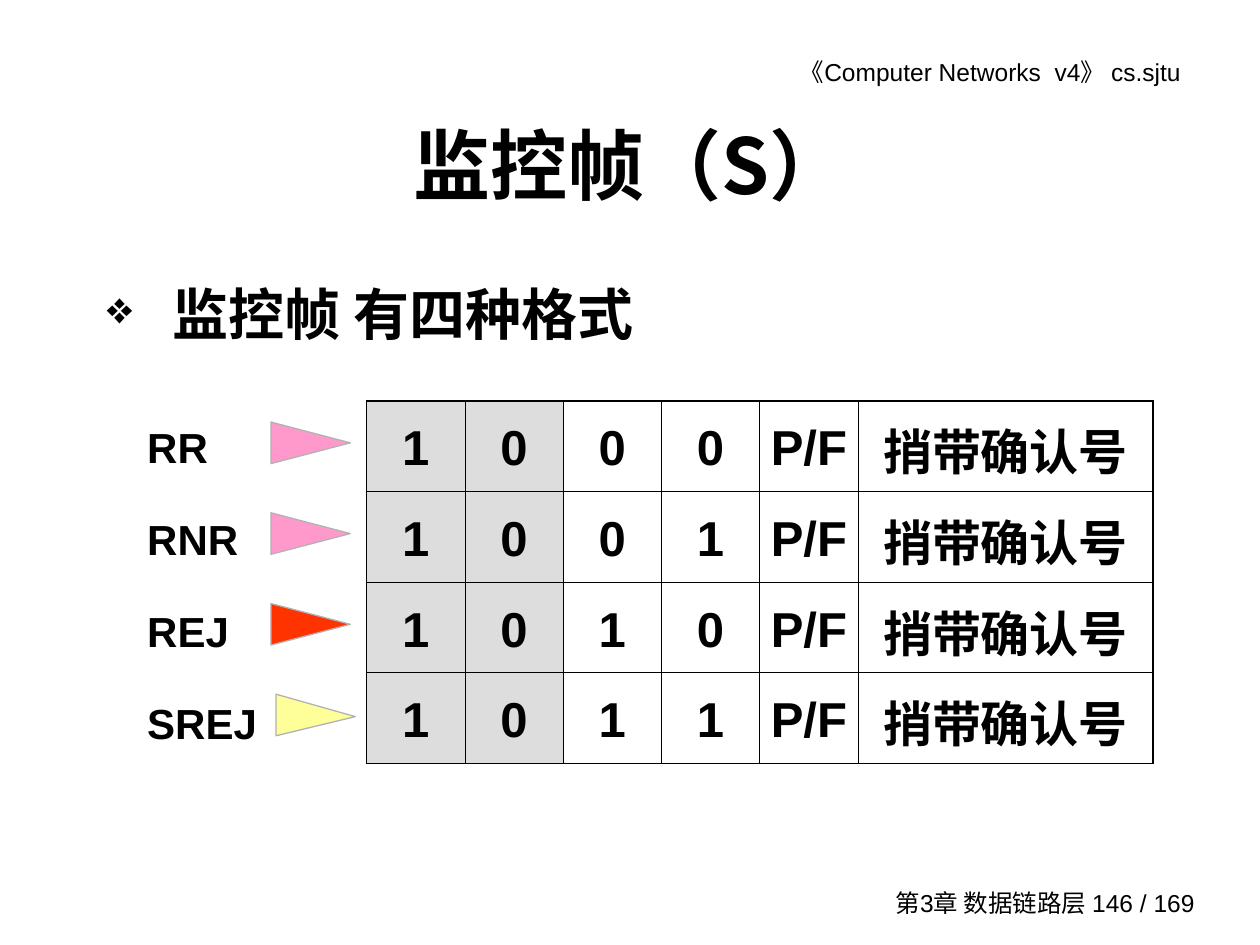
from lxml import etree
from pptx import Presentation
from pptx.dml.color import RGBColor
from pptx.enum.shapes import MSO_SHAPE as Shape
from pptx.enum.text import MSO_ANCHOR as Anchor, PP_ALIGN as Align
from pptx.oxml.ns import qn
from pptx.util import Inches, Pt

BLACK = RGBColor(0x00, 0x00, 0x00)
WHITE = RGBColor(0xFF, 0xFF, 0xFF)
CODE_GREY = RGBColor(0xDD, 0xDD, 0xDD)
EDGE_GREY = RGBColor(0xB2, 0xB2, 0xB2)
PINK = RGBColor(0xFF, 0x99, 0xCC)
RED = RGBColor(0xFF, 0x33, 0x00)
YELLOW = RGBColor(0xFF, 0xFF, 0x99)
CJK_FONT = "Noto Sans CJK SC"


def style(paragraph, size, bold=True, align=Align.LEFT, latin="Arial"):
    paragraph.alignment = align
    font = paragraph.font
    font.size, font.bold, font.name = Pt(size), bold, latin
    font.color.rgb = BLACK
    defaults = paragraph._p.pPr.find(qn("a:defRPr"))
    etree.SubElement(defaults, qn("a:ea"), typeface=CJK_FONT)


def add_text(left, top, width, height, text, anchor=Anchor.TOP):
    box = slide.shapes.add_textbox(Inches(left), Inches(top), Inches(width), Inches(height))
    frame = box.text_frame
    frame.word_wrap = True
    frame.vertical_anchor = anchor
    frame.text = text
    return frame


prs = Presentation()
prs.slide_width, prs.slide_height = Inches(10), Inches(7.5)
slide = prs.slides.add_slide(prs.slide_layouts[6])

# Running header and footer
header = add_text(5.27, 0.4, 4.31, 0.34, "《Computer Networks  v4》 cs.sjtu")
header.margin_right = Inches(0.21)
style(header.paragraphs[0], 14, bold=False, align=Align.RIGHT)
footer = add_text(6.94, 7, 2.64, 0.33, "第3章 数据链路层 146 / 169", Anchor.MIDDLE)
style(footer.paragraphs[0], 14, bold=False, align=Align.RIGHT)

# Title
title = add_text(0.75, 0.67, 8.5, 1.25, "监控帧（S）", Anchor.MIDDLE)
style(title.paragraphs[0], 44, align=Align.CENTER, latin=CJK_FONT)

# Bulleted statement
statement = add_text(0.75, 2.17, 8.5, 0.74, "监控帧 有四种格式").paragraphs[0]
bullet_props = statement._p.get_or_add_pPr()
bullet_props.set("marL", str(Inches(0.52)))
bullet_props.set("indent", str(-Inches(0.52)))
etree.SubElement(bullet_props, qn("a:buSzPct"), val="80000")
etree.SubElement(bullet_props, qn("a:buChar"), char="❖")
style(statement, 32)

# Frame formats: name, marker colour, type bits
formats = [
    ("RR", PINK, "00"),
    ("RNR", PINK, "01"),
    ("REJ", RED, "10"),
    ("SREJ", YELLOW, "11"),
]
ROW_HEIGHT = 0.72
COLUMN_WIDTHS = [0.78] * 5 + [2.34]
last_row, last_column = len(formats) - 1, len(COLUMN_WIDTHS) - 1

# Table of frame fields
grid = slide.shapes.add_table(
    len(formats), len(COLUMN_WIDTHS), Inches(2.91), Inches(3.18),
    Inches(sum(COLUMN_WIDTHS)), Inches(ROW_HEIGHT * len(formats))).table
grid.first_row = grid.horz_banding = False
for column, width in zip(grid.columns, COLUMN_WIDTHS):
    column.width = Inches(width)

for r, (name, colour, type_bits) in enumerate(formats):
    grid.rows[r].height = Inches(ROW_HEIGHT)
    for c, field in enumerate(["1", "0", *type_bits, "P/F", "捎带确认号"]):
        cell = grid.cell(r, c)
        cell.text = field
        cell.vertical_anchor = Anchor.MIDDLE
        cell.margin_left = cell.margin_right = Inches(0.04)
        paragraph = cell.text_frame.paragraphs[0]
        paragraph.line_spacing = 1.1
        style(paragraph, 28, align=Align.CENTER)

        # Heavy outer frame, thin inner rules; borders precede the fill
        cell_props = cell._tc.get_or_add_tcPr()
        outer_sides = {"lnL": c == 0, "lnR": c == last_column,
                       "lnT": r == 0, "lnB": r == last_row}
        for side, outer in outer_sides.items():
            rule = etree.SubElement(cell_props, qn(f"a:{side}"),
                                    w=str(Pt(1.08 if outer else 0.45)))
            paint = etree.SubElement(rule, qn("a:solidFill"))
            etree.SubElement(paint, qn("a:srgbClr"), val=str(BLACK))
        cell.fill.solid()
        cell.fill.fore_color.rgb = CODE_GREY if c < 2 else WHITE

# Frame names beside the rows
names = add_text(1.07, 3.18, 1.22, 2.81, "\n".join(f[0] for f in formats))
for i, paragraph in enumerate(names.paragraphs):
    paragraph.line_spacing = 1.3
    paragraph.space_before = Pt(15 if i else 0)
    style(paragraph, 24)

# Markers pointing at the rows
for i, (name, colour, type_bits) in enumerate(formats):
    left = 2.34 if name == "SREJ" else 2.3
    marker = slide.shapes.add_shape(
        Shape.ISOSCELES_TRIANGLE, Inches(left), Inches(3.2 + i * ROW_HEIGHT),
        Inches(0.33), Inches(0.63))
    marker.rotation = 90
    marker.adjustments[0] = 0.54 if name == "SREJ" else 0.5
    marker.shadow.inherit = False
    marker.fill.solid()
    marker.fill.fore_color.rgb = colour
    marker.line.color.rgb = EDGE_GREY
    marker.line.width = Pt(0.75)

prs.save("out.pptx")
